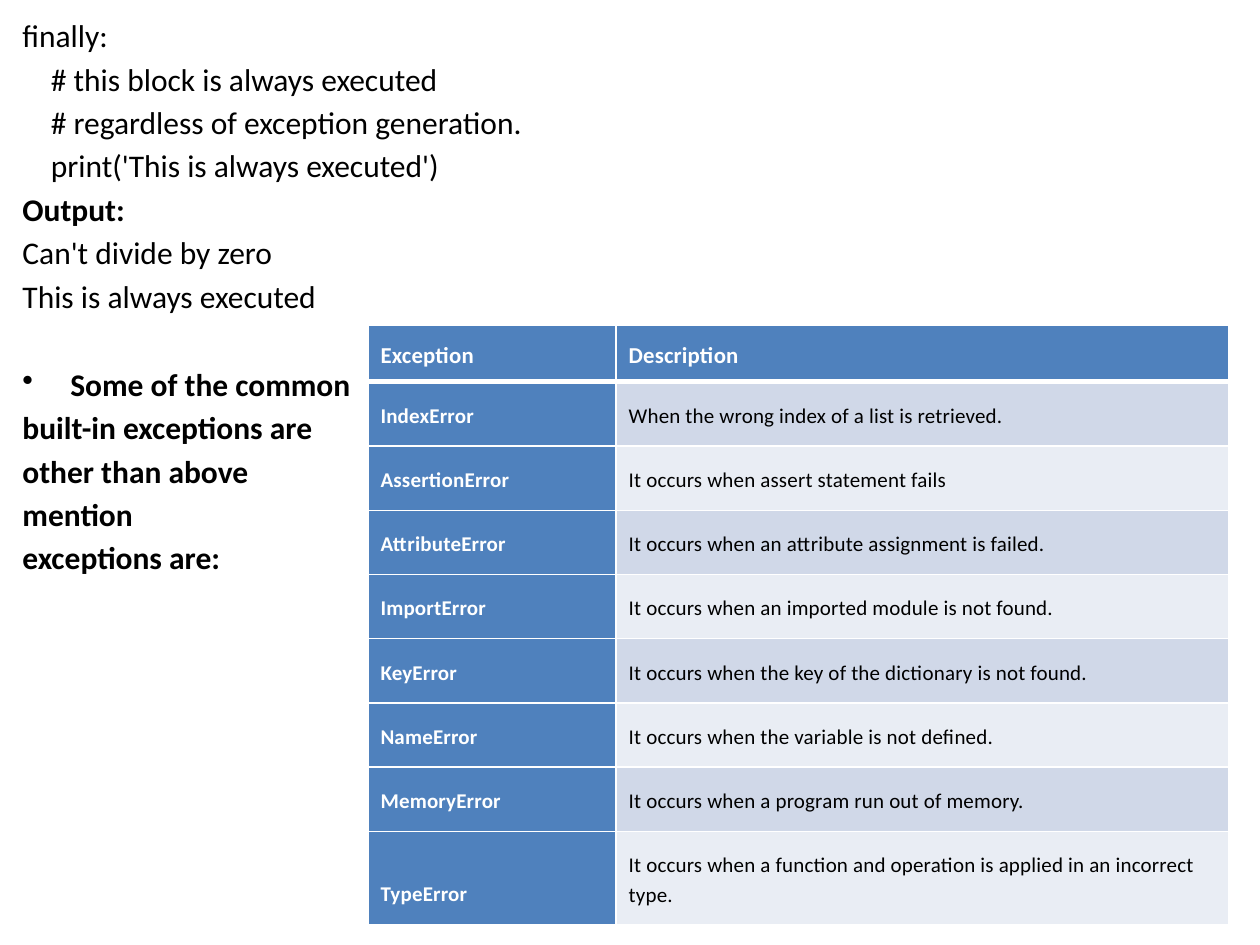
import pptx
import pptx.util
import pptx.dml.color
import pptx.enum.text
import pptx.oxml.ns
from lxml import etree

Inches, Pt = pptx.util.Inches, pptx.util.Pt
Anchor = pptx.enum.text.MSO_ANCHOR

LINES = [
    ("finally:", "code"),
    ("    # this block is always executed", "code"),
    ("    # regardless of exception generation.", "code"),
    ("    print('This is always executed')", "code"),
    ("Output:", "strong"),
    ("Can't divide by zero", "code"),
    ("This is always executed", "code"),
    ("Some of the common", "bullet"),
    ("built-in exceptions are", "strong"),
    ("other than above", "strong"),
    ("mention", "strong"),
    ("exceptions are:", "strong"),
]
EXCEPTIONS = [
    ("Exception", "Description"),
    ("IndexError", "When the wrong index of a list is retrieved."),
    ("AssertionError", "It occurs when assert statement fails"),
    ("AttributeError", "It occurs when an attribute assignment is failed."),
    ("ImportError", "It occurs when an imported module is not found."),
    ("KeyError", "It occurs when the key of the dictionary is not found."),
    ("NameError", "It occurs when the variable is not defined."),
    ("MemoryError", "It occurs when a program run out of memory."),
    ("TypeError", "It occurs when a function and operation is applied in an incorrect type."),
]
THEME = {
    "font": "Calibri", "body": 18, "header": 13, "cell": 12,
    "ink": "000000", "light": "FFFFFF", "accent": "4F81BD",
    "bands": ("E9EDF4", "D0D8E8"),
    "gap": 3.2, "section_gap": 28.8, "line": 1, "header_line": 3,
}
WIDTH, HEIGHT = 10, 7.5
MARGIN = 0.08
INDENT = 0.38
TABLE_LEFT, TABLE_TOP = 2.92, 2.58
COLUMNS = (1.97, 4.86)
ROWS = [0.45] + [0.51] * 7 + [0.74]


def colour(name):
    return pptx.dml.color.RGBColor.from_string(name)


def add_span(para, text, size, ink, bold):
    span = para.add_run()
    span.text = text
    font = span.font
    font.name, font.size, font.bold = THEME["font"], Pt(size), bold
    font.color.rgb = colour(ink)
    return span


def add_bullet(para):
    properties = para._p.get_or_add_pPr()
    properties.set("marL", str(Inches(INDENT)))
    properties.set("indent", str(-Inches(INDENT)))
    bullet = etree.SubElement(properties, pptx.oxml.ns.qn("a:buChar"))
    bullet.set("char", "•")


def add_lines(slide):
    box = slide.shapes.add_textbox(
        Inches(MARGIN), Inches(MARGIN),
        Inches(WIDTH - 2 * MARGIN), Inches(HEIGHT - 2 * MARGIN))
    frame = box.text_frame
    frame.word_wrap = True
    for index, (text, kind) in enumerate(LINES):
        para = frame.add_paragraph() if index else frame.paragraphs[0]
        if index:
            para.space_before = Pt(THEME["section_gap" if kind == "bullet" else "gap"])
        if kind == "bullet":
            add_bullet(para)
        add_span(para, text, THEME["body"], THEME["ink"], kind != "code")


def add_borders(cell, row):
    properties = cell._tc.get_or_add_tcPr()
    heavy = {0: "B", 1: "T"}.get(row)
    for side in "LRTB":
        line = etree.SubElement(properties, pptx.oxml.ns.qn(f"a:ln{side}"))
        line.set("w", str(Pt(THEME["header_line" if side == heavy else "line"])))
        fill = etree.SubElement(line, pptx.oxml.ns.qn("a:solidFill"))
        etree.SubElement(fill, pptx.oxml.ns.qn("a:srgbClr")).set("val", THEME["light"])


def fill_cell(cell, text, row, column):
    header = row == 0
    strong = header or column == 0
    add_borders(cell, row)
    cell.fill.solid()
    cell.fill.fore_color.rgb = colour(THEME["accent"] if strong else THEME["bands"][row % 2])
    cell.vertical_anchor = Anchor.MIDDLE if header else Anchor.BOTTOM
    cell.margin_left = cell.margin_right = Inches(0.1)
    cell.margin_top = cell.margin_bottom = Inches(0.1 if header else 0.14)
    para = cell.text_frame.paragraphs[0]
    para.line_spacing = 1.15
    span = add_span(para, text, THEME["header" if header else "cell"],
                    THEME["light" if strong else "ink"], strong)
    span.font._element.set("spc", "10")


def add_exceptions(slide):
    table = slide.shapes.add_table(
        len(ROWS), len(COLUMNS), Inches(TABLE_LEFT), Inches(TABLE_TOP),
        Inches(sum(COLUMNS)), Inches(sum(ROWS))).table
    table.horz_banding = False
    table.first_row = False
    for column, width in zip(table.columns, COLUMNS):
        column.width = Inches(width)
    for row, height in zip(table.rows, ROWS):
        row.height = Inches(height)
    for row, texts in enumerate(EXCEPTIONS):
        for column, text in enumerate(texts):
            fill_cell(table.cell(row, column), text, row, column)


def main():
    deck = pptx.Presentation()
    deck.slide_width, deck.slide_height = Inches(WIDTH), Inches(HEIGHT)
    slide = deck.slides.add_slide(deck.slide_layouts[6])
    add_lines(slide)
    add_exceptions(slide)
    deck.save("out.pptx")


if __name__ == "__main__":
    main()
